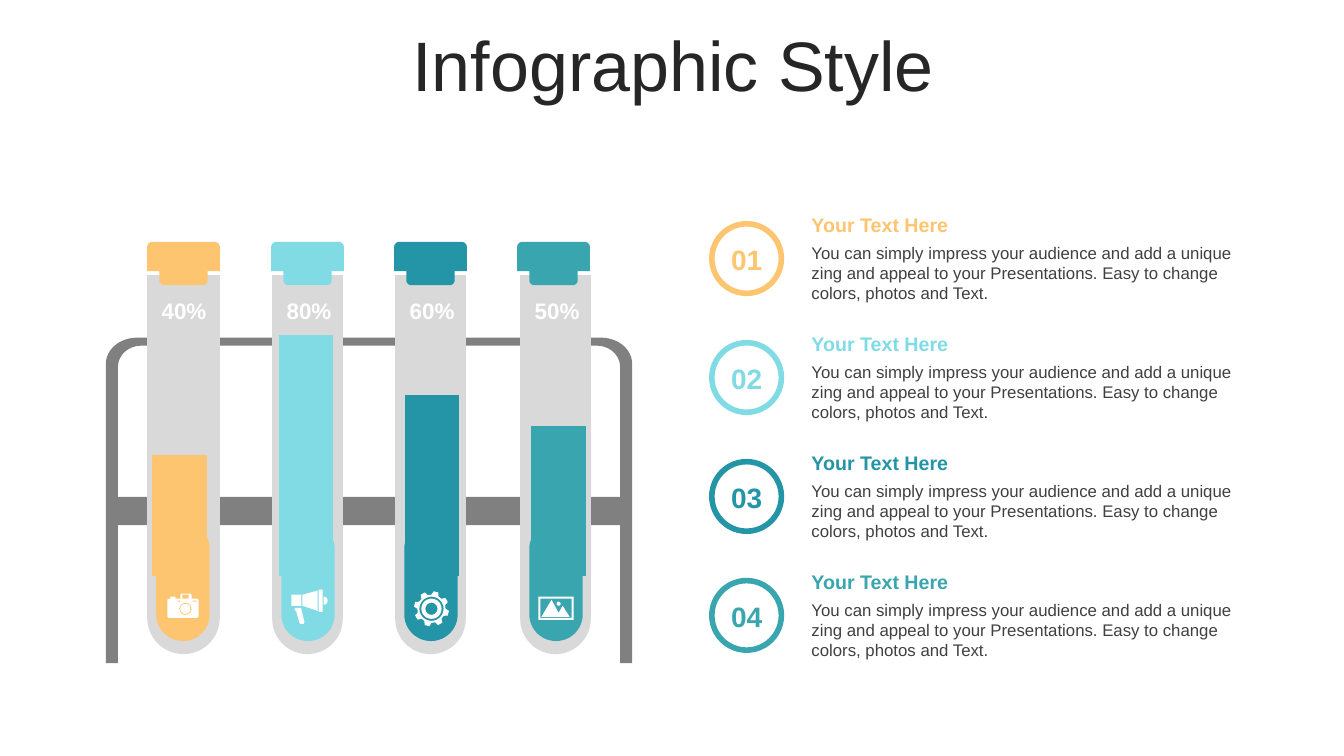
from dataclasses import dataclass
from math import cos, radians, sin

from lxml import etree
from pptx import Presentation
from pptx.chart.data import CategoryChartData
from pptx.dml.color import RGBColor
from pptx.enum.chart import XL_CHART_TYPE
from pptx.enum.shapes import MSO_SHAPE
from pptx.enum.text import MSO_ANCHOR, MSO_AUTO_SIZE, PP_ALIGN
from pptx.oxml import parse_xml
from pptx.oxml.ns import nsdecls, qn
from pptx.util import Inches, Pt

COLUMN = XL_CHART_TYPE.COLUMN_CLUSTERED
OVAL, PILL = MSO_SHAPE.OVAL, MSO_SHAPE.ROUNDED_RECTANGLE
MIDDLE, TOP = MSO_ANCHOR.MIDDLE, MSO_ANCHOR.TOP
LEFT, CENTER = PP_ALIGN.LEFT, PP_ALIGN.CENTER
GROW, FIXED = MSO_AUTO_SIZE.SHAPE_TO_FIT_TEXT, MSO_AUTO_SIZE.NONE


@dataclass(frozen=True)
class Theme:
    """Colours, font and type sizes of the slide."""
    font: str = "Arial"
    title: str = "262626"
    body: str = "404040"
    white: str = "FFFFFF"
    glass: str = "D9D9D9"
    rack: str = "808080"
    black: str = "000000"
    accents: tuple = ("FDC56F", "80DBE4", "2395A6", "39A5AE")
    title_size: int = 50
    number_size: int = 20
    label_size: int = 16
    head_size: int = 14
    body_size: int = 12
    chart_size: int = 10


THEME = Theme()
BODY = ("You can simply impress your audience and add a unique zing and appeal "
        "to your Presentations. Easy to change colors, photos and Text.")


def rgb(code):
    """Turn a hex code into a colour."""
    return RGBColor.from_string(code)


def style(font, size, color, bold=False):
    """Set the face, size, colour and weight of a font."""
    font.name, font.size, font.bold = THEME.font, Pt(size), bold
    font.color.rgb = rgb(color)


def paint(shape, color):
    """Give a shape a plain fill without outline or shadow."""
    shape.shadow.inherit = False
    shape.fill.solid()
    shape.fill.fore_color.rgb = rgb(color)
    shape.line.fill.background()


def text(slide, box, words, size, color, bold=True, align=LEFT, anchor=TOP):
    """Add a wrapped text box with one paragraph."""
    frame = slide.shapes.add_textbox(*map(Inches, box)).text_frame
    frame.word_wrap, frame.auto_size = True, GROW
    frame.vertical_anchor = anchor
    line = frame.paragraphs[0]
    line.text, line.alignment = words, align
    style(line.font, size, color, bold)


def arc(x, y, rx, ry, start, end, steps=12):
    """List points on an ellipse between two angles, clockwise from the right."""
    turns = [radians(start + (end - start) * i / steps) for i in range(steps + 1)]
    return [(x + rx * cos(t), y + ry * sin(t)) for t in turns]


def ring(x, y, r):
    """List the points of a full circle."""
    return arc(x, y, r, r, 0, 360, 40)


def rect(x, y, w, h):
    """List the corners of a rectangle."""
    return [(x, y), (x + w, y), (x + w, y + h), (x, y + h)]


def arch(x, y, w, rx, ry):
    """List the points of a top edge with two rounded corners."""
    return (arc(x + rx, y + ry, rx, ry, 180, 270)
            + arc(x + w - rx, y + ry, rx, ry, 270, 360))


def outline(slide, x, y, loops, color):
    """Draw closed loops, placed from x and y, as one filled freeform."""
    loops = [[(Inches(x + a), Inches(y + b)) for a, b in loop] for loop in loops]
    pen = slide.shapes.build_freeform(*loops[0][0], scale=1.0)
    pen.add_line_segments(loops[0][1:], close=True)
    for loop in loops[1:]:
        pen.move_to(*loop[0])
        pen.add_line_segments(loop[1:], close=True)
    paint(pen.convert_to_shape(), color)


def camera():
    """List the loops of a camera."""
    body = (arch(0, 0.05, 0.31, 0.02, 0.02)
            + arc(0.29, 0.22, 0.02, 0.02, 0, 90) + arc(0.02, 0.22, 0.02, 0.02, 90, 180))
    top = [(0.24, 0.05), (0.24, 0.01), (0.23, 0), (0.14, 0), (0.13, 0.01), (0.13, 0.05),
           (0.08, 0.05), (0.08, 0.03), (0.03, 0.03), (0.03, 0.05)]
    return [body[:13] + top[::-1] + body[13:], ring(0.18, 0.15, 0.05), ring(0.18, 0.15, 0.06),
            rect(0.1, 0.07, 0.03, 0.01), rect(0.25, 0.07, 0.04, 0.01),
            rect(0.15, 0.01, 0.06, 0.04)]


def horn():
    """List the loops of a megaphone."""
    grip = [(0.1, 0.18), (0.1, 0.2), (0.13, 0.32), (0.12, 0.34), (0.09, 0.34),
            (0.08, 0.33), (0.05, 0.22), (0.04, 0.21), (0.03, 0.18)]
    cone = [(0.26, 0.01), (0.26, 0.21), (0.11, 0.16), (0.11, 0.05)]
    return [grip, arc(0.32, 0.11, 0.04, 0.04, -90, 90), rect(0, 0.05, 0.1, 0.11),
            cone, rect(0.27, 0, 0.04, 0.22)]


def gear():
    """List the loops of a gear with eight teeth."""
    teeth = []
    for i in range(8):
        for turn, r in ((-15, 0.14), (-8, 0.175), (8, 0.175), (15, 0.14)):
            angle = radians(45 * i + turn - 75)
            teeth.append((0.17 + r * cos(angle), 0.17 + r * sin(angle)))
    return [teeth] + [ring(0.17, 0.17, r) for r in (0.12, 0.1, 0.06)]


def photo():
    """List the loops of a framed landscape."""
    hills = [(0.13, 0.03), (0.2, 0.16), (0.24, 0.09), (0.31, 0.2), (0.03, 0.2)]
    return [rect(0, 0, 0.35, 0.23), rect(0.02, 0.02, 0.31, 0.19), hills, ring(0.2, 0.07, 0.02)]


def title(slide, box):
    """Place and format the title."""
    shape = slide.shapes.title
    shape.left, shape.top, shape.width, shape.height = map(Inches, box)
    frame = shape.text_frame
    frame.auto_size, frame.vertical_anchor = FIXED, MIDDLE
    line = frame.paragraphs[0]
    line.text, line.alignment = "Infographic Style", CENTER
    line.line_spacing, line.space_before = 0.8, Pt(10)
    style(line.font, THEME.title_size, THEME.title)


def rack(slide, x, y, w, h):
    """Draw the stand with its crossbar."""
    post, bar, base = 0.12, 1.58, 1.86
    window = arch(post, 0.08, w - 2 * post, 0.23, 0.21) + [(w - post, bar), (post, bar)]
    frame = arch(0, 0, w, 0.31, 0.26) + [
        (w, h), (w - post, h), (w - post, base), (post, base), (post, h), (0, h)]
    outline(slide, x, y, [window, frame], THEME.rack)


def tube(slide, box, cap, color, label, icon, inset):
    """Draw one test tube with its cap, liquid, icon and label."""
    x, y, w, h = box
    r = w / 2
    outline(slide, x, y + 0.33, [[(0, 0), (w, 0)] + arc(r, h - 0.33 - r, r, r, 0, 180, 30)],
            THEME.glass)
    pill = slide.shapes.add_shape(PILL, *map(Inches, (x + 0.09, y + 2.78, 0.53, 1.18)))
    pill.adjustments[0] = 0.5
    paint(pill, color)
    lid = (arch(0, 0, 0.72, 0.05, 0.05) + [(0.72, 0.29), (0.6, 0.29)]
           + arc(0.55, 0.38, 0.05, 0.05, 0, 90) + arc(0.17, 0.38, 0.05, 0.05, 90, 180)
           + [(0.12, 0.29), (0, 0.29)])
    outline(slide, cap, y, [lid], color)
    text(slide, (x - 0.05, y + 0.5, 0.83, 0.37), label, THEME.label_size, THEME.white,
         align=CENTER, anchor=MIDDLE)
    outline(slide, x + inset[0], y + inset[1], icon, THEME.white)


def levels(slide, box):
    """Add the column chart that fills the tubes."""
    data = CategoryChartData()
    data.categories = ["1", "2", "3", "4"]
    data.add_series("Series 1", (50, 100, 75, 62))
    chart = slide.shapes.add_chart(COLUMN, *map(Inches, box), data).chart
    style(chart.font, THEME.chart_size, THEME.black)
    chart.has_legend = chart.has_title = False
    scale = chart.value_axis
    scale.minimum_scale, scale.maximum_scale = 0, 100
    scale.has_major_gridlines = False
    scale.visible = chart.category_axis.visible = False
    plot = chart.plots[0]
    plot.gap_width, plot.overlap, plot.vary_by_categories = 132, 100, False
    bars = plot.series[0]
    for i, color in enumerate(THEME.accents):
        fill = bars.points[i].format.fill
        fill.solid()
        fill.fore_color.rgb = rgb(color)
    root = chart.element.find(qn("c:chart"))
    root.addnext(parse_xml(f'<c:spPr {nsdecls("c", "a")}><a:noFill/><a:ln><a:noFill/></a:ln></c:spPr>'))
    area = root.find(qn("c:plotArea"))
    for old in area.findall(qn("c:layout")):
        area.remove(old)
    layout = etree.Element(qn("c:layout"))
    manual = etree.SubElement(layout, qn("c:manualLayout"))
    for tag, val in (("layoutTarget", "inner"), ("xMode", "edge"), ("yMode", "edge"),
                     ("x", "0.02"), ("y", "0.124"), ("w", "0.96"), ("h", "0.851")):
        etree.SubElement(manual, qn(f"c:{tag}")).set("val", val)
    area.insert(0, layout)


def item(slide, x, y, number, color):
    """Add one numbered circle with its heading and text."""
    disc = slide.shapes.add_shape(OVAL, *map(Inches, (x, y + 0.16, 0.69, 0.69)))
    paint(disc, THEME.white)
    disc.line.color.rgb, disc.line.width = rgb(color), Pt(4)
    text(slide, (x + 0.07, y + 0.3, 0.55, 0.44), f"{number:02}", THEME.number_size, color,
         align=CENTER)
    text(slide, (x + 0.89, y + 0.3, 4.5, 0.71), BODY, THEME.body_size, THEME.body, bold=False)
    text(slide, (x + 0.89, y, 4.46, 0.34), "Your Text Here", THEME.head_size, color)


def main():
    """Build the slide and save it."""
    deck = Presentation()
    deck.slide_width, deck.slide_height = Inches(13.33), Inches(7.5)
    slide = deck.slides.add_slide(deck.slide_layouts[5])
    title(slide, (0.35, 0.31, 12.66, 0.79))
    rack(slide, 1.05, 3.35, 5.22, 3.23)
    tubes = ((1.46, 0.72, 1.46, "40%", camera(), (0.2, 3.49)),
             (2.7, 0.7, 2.69, "80%", horn(), (0.19, 3.45)),
             (3.92, 0.7, 3.91, "60%", gear(), (0.19, 3.47)),
             (5.16, 0.7, 5.13, "50%", photo(), (0.18, 3.52)))
    for color, (x, w, cap, label, icon, inset) in zip(THEME.accents, tubes):
        tube(slide, (x, 2.4, w, 4.09), cap, color, label, icon, inset)
    levels(slide, (1.05, 2.97, 5.22, 2.82))
    for i, color in enumerate(THEME.accents):
        item(slide, 7.06, 2.06 + 1.18 * i, i + 1, color)
    deck.save("out.pptx")


if __name__ == "__main__":
    main()
